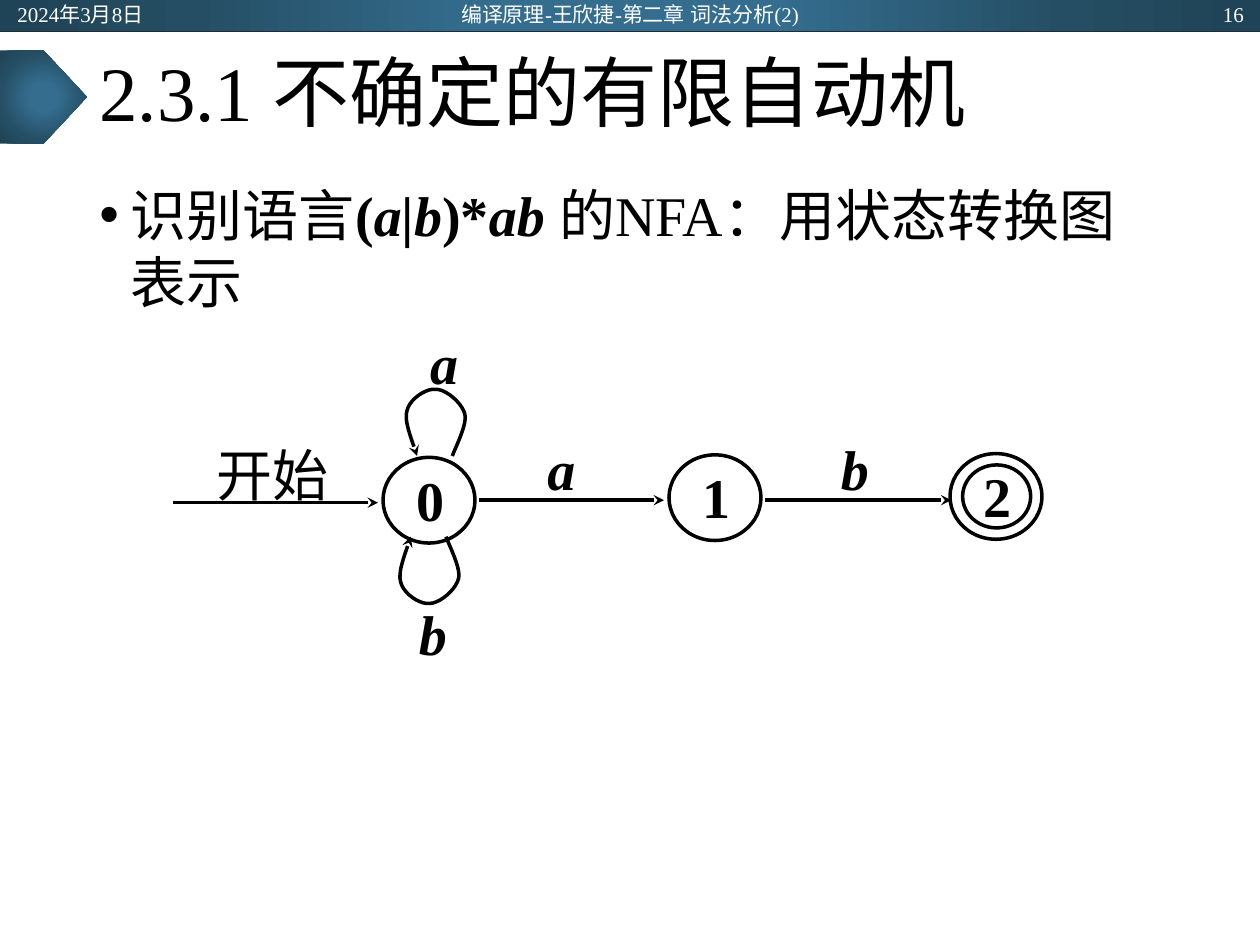
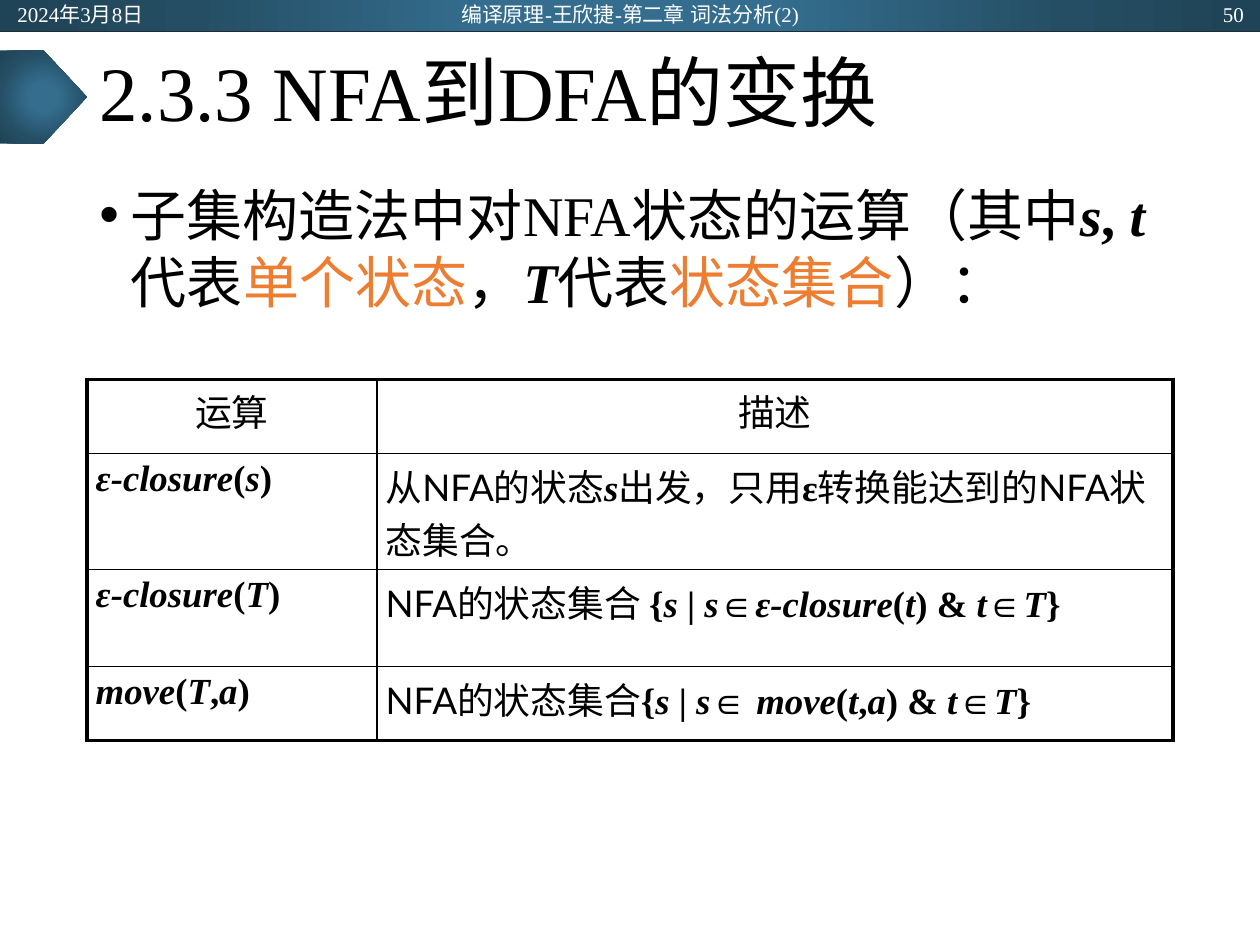
from dataclasses import dataclass
from typing import NamedTuple

from lxml import etree
from pptx import Presentation
from pptx import util as u
from pptx.dml.color import RGBColor
from pptx.enum import shapes, text
from pptx.oxml import parse_xml
from pptx.oxml.ns import nsdecls, qn
from pptx.util import Inches

LEFT, CENTER, RIGHT = text.PP_ALIGN.LEFT, text.PP_ALIGN.CENTER, text.PP_ALIGN.RIGHT
TOP, MIDDLE = text.MSO_ANCHOR.TOP, text.MSO_ANCHOR.MIDDLE


@dataclass(frozen=True)
class Theme:
    ink: str = "000000"
    paper: str = "FFFFFF"
    accent: str = "ED7D31"
    band_rule: str = "222A35"
    band_stops: tuple = ((0, "346D8E"), (23, "346D8E"), (69, "254E64"), (97, "204457"))
    serif: str = "Times New Roman"
    sans: str = "Lato"
    title: int = 44
    body: int = 32
    table: int = 21
    header: int = 12
    stroke: float = 2
    outer_border: float = 2.25
    inner_border: float = 1


T = Theme()


class Box(NamedTuple):
    left: float
    top: float
    width: float
    height: float

    def emu(self) -> list:
        return [Inches(v) for v in self]


class Run(NamedTuple):
    text: str
    bold: bool = False
    italic: bool = False
    color: str = T.ink
    font: str = T.serif


class State(NamedTuple):
    name: str
    box: Box


class Arrow(NamedTuple):
    x1: float
    x2: float
    y: float


class Label(NamedTuple):
    run: Run
    box: Box


class Loop(NamedTuple):
    x: float
    y: float
    flip: int


# Text
def symbols(*parts: str) -> list[Run]:
    """Bold formula whose parts alternate between italic and upright."""
    return [Run(part, True, i % 2 == 0) for i, part in enumerate(parts) if part]


def sans(words: str) -> Run:
    return Run(words, font=T.sans)


def fill_paragraph(p, runs: list[Run], size: float, align=LEFT, east_asian: str = "") -> None:
    p.alignment = align
    for run in runs:
        r = p.add_run()
        r.text = run.text
        r.font.size = u.Pt(size)
        r.font.name = run.font
        r.font.bold, r.font.italic = run.bold, run.italic
        r.font.color.rgb = RGBColor.from_string(run.color)
        if east_asian:
            ea = etree.Element(qn("a:ea"), typeface=east_asian)
            r.font._element.find(qn("a:latin")).addnext(ea)


def set_insets(frame, left: float, top: float, right: float, bottom: float) -> None:
    frame.margin_left, frame.margin_top = Inches(left), Inches(top)
    frame.margin_right, frame.margin_bottom = Inches(right), Inches(bottom)


def add_text(s, box: Box, runs: list[Run], size: float, align=LEFT, anchor=MIDDLE,
             insets: tuple = (0.1, 0.05, 0.1, 0.05)):
    tf = s.shapes.add_textbox(*box.emu()).text_frame
    tf.word_wrap = True
    tf.vertical_anchor = anchor
    set_insets(tf, *insets)
    fill_paragraph(tf.paragraphs[0], runs, size, align, T.sans)
    return tf.paragraphs[0]


# Lines and shapes
def set_line(sp, color: str, width: float, arrow: bool = False) -> None:
    sp.line.color.rgb = RGBColor.from_string(color)
    sp.line.width = u.Pt(width)
    if arrow:
        ln = sp._element.spPr.find(qn("a:ln"))
        etree.SubElement(ln, qn("a:tailEnd"), type="stealth")


def add_line(s, x1: float, y1: float, x2: float, y2: float, color: str,
             width: float, arrow: bool = False) -> None:
    line = s.shapes.add_connector(
        shapes.MSO_CONNECTOR.STRAIGHT, Inches(x1), Inches(y1), Inches(x2), Inches(y2))
    set_line(line, color, width, arrow)
    etree.SubElement(line._element.spPr, qn("a:effectLst"))


def add_gradient_shape(s, kind, box: Box) -> None:
    sp = s.shapes.add_shape(kind, *box.emu())
    sp.shadow.inherit = False
    sp.line.fill.background()
    sp.fill.background()
    stops = "".join(f'<a:gs pos="{pos * 1000}"><a:srgbClr val="{color}"/></a:gs>'
                    for pos, color in T.band_stops)
    gradient = parse_xml(
        f'<a:gradFill {nsdecls("a")} rotWithShape="1"><a:gsLst>{stops}</a:gsLst>'
        '<a:path path="circle"><a:fillToRect l="50000" t="50000" r="50000" b="50000"/>'
        '</a:path></a:gradFill>')
    spPr = sp._element.spPr
    spPr.replace(spPr.find(qn("a:noFill")), gradient)


# Frame shared by the slides
def add_slide(prs, number: str, title: str, body: list[Run]):
    s = prs.slides.add_slide(prs.slide_layouts[6])
    add_gradient_shape(s, shapes.MSO_SHAPE.RECTANGLE, Box(0, 0, 10, 0.25))
    add_line(s, 0, 0.25, 10, 0.25, T.band_rule, 0.5)
    add_gradient_shape(s, shapes.MSO_SHAPE.PENTAGON, Box(0, 0.4, 0.69, 0.74))

    p = add_text(s, Box(0.69, 0.25, 8.62, 1.04), [Run(title)], T.title)
    p.line_spacing = 0.9

    p = add_text(s, Box(0.69, 1.38, 8.62, 5.38), body, T.body, anchor=TOP)
    pPr = p._p.get_or_add_pPr()
    pPr.set("marL", str(Inches(0.25)))
    pPr.set("indent", str(-Inches(0.25)))
    etree.SubElement(pPr, qn("a:buFont"), typeface="Arial")
    etree.SubElement(pPr, qn("a:buChar"), char="•")

    for left, width, words, align in (
            (0.04, 2.25, "2024年3月8日", LEFT),
            (3.31, 3.38, "编译原理-王欣捷-第二章 词法分析(2)", CENTER),
            (7.72, 2.25, number, RIGHT)):
        add_text(s, Box(left, 0.01, width, 0.2), [Run(words, color=T.paper)],
                 T.header, align, insets=(0.1, 0, 0.1, 0))
    return s


# Automaton
STATES = (
    State("0", Box(3.04, 3.63, 0.73, 0.68)),
    State("1", Box(5.31, 3.61, 0.73, 0.68)),
    State("", Box(7.54, 3.6, 0.73, 0.68)),
    State("2", Box(7.64, 3.69, 0.54, 0.5)),
)
ARROWS = (Arrow(1.37, 3, 3.99), Arrow(3.8, 5.27, 3.97), Arrow(6.07, 7.55, 3.97))
LOOPS = (Loop(3.59, 3.62, 1), Loop(3.54, 4.26, -1))
LABELS = (
    Label(Run("开始"), Box(1.57, 3.44, 1.19, 0.64)),
    *(Label(Run(letter, True, True), Box(left, top, 0.59, 0.55))
      for letter, left, top in (("a", 4.16, 3.44), ("b", 6.49, 3.44),
                                ("a", 3.23, 2.6), ("b", 3.14, 4.75))),
)
# Bezier control points of a loop, measured from its start
LOOP_CURVE = (
    (0, 0), (0.02, -0.06), (0.12, -0.25), (0.1, -0.33), (0.08, -0.42),
    (-0.05, -0.53), (-0.13, -0.53), (-0.21, -0.54), (-0.34, -0.45),
    (-0.36, -0.36), (-0.39, -0.27), (-0.3, -0.08), (-0.28, 0),
)


def curve_points(controls: tuple, steps: int = 10) -> list[tuple]:
    points = []
    for first in range(0, len(controls) - 1, 3):
        quad = controls[first:first + 4]
        for step in range(1, steps + 1):
            t = step / steps
            weights = ((1 - t) ** 3, 3 * t * (1 - t) ** 2, 3 * t * t * (1 - t), t ** 3)
            points.append(tuple(sum(w * c[axis] for w, c in zip(weights, quad))
                                for axis in (0, 1)))
    return points


def add_loop(s, loop: Loop) -> None:
    builder = s.shapes.build_freeform(Inches(loop.x), Inches(loop.y))
    builder.add_line_segments(
        [(Inches(loop.x + dx), Inches(loop.y + loop.flip * dy))
         for dx, dy in curve_points(LOOP_CURVE)], close=False)
    sp = builder.convert_to_shape()
    sp.shadow.inherit = False
    sp.fill.background()
    set_line(sp, T.ink, T.stroke, arrow=True)


def add_state(s, state: State) -> None:
    sp = s.shapes.add_shape(shapes.MSO_SHAPE.OVAL, *state.box.emu())
    sp.shadow.inherit = False
    sp.fill.background()
    set_line(sp, T.ink, T.stroke)
    if state.name:
        tf = sp.text_frame
        tf.vertical_anchor = MIDDLE
        set_insets(tf, 0.04, 0.02, 0.02, 0.04)
        fill_paragraph(tf.paragraphs[0], [Run(state.name, True)], T.body, CENTER, T.sans)


def build_nfa_slide(prs) -> None:
    s = add_slide(prs, "16", "2.3.1 不确定的有限自动机", [
        Run("识别语言"), *symbols("", "(", "a", "|", "b", ")*", "ab "),
        Run("的NFA：用状态转换图表示")])
    for arrow in ARROWS:
        add_line(s, arrow.x1, arrow.y, arrow.x2, arrow.y, T.ink, T.stroke, arrow=True)
    for loop in LOOPS:
        add_loop(s, loop)
    for state in STATES:
        add_state(s, state)
    for label in LABELS:
        add_text(s, label.box, [label.run], T.body, CENTER, insets=(0.04, 0.02, 0.04, 0.02))


# Table of operations
OPERATIONS = (
    ([sans("运算")], [sans("描述")]),
    (symbols("ε-closure", "(", "s", ")"),
     [sans("从NFA的状态"), *symbols("s"), sans("出发，只用"), *symbols("", "ε"),
      sans("转换能达到的NFA状态集合。")]),
    (symbols("ε-closure", "(", "T", ")"),
     [sans("NFA的状态集合 "), *symbols("", "{", "s ", "| ", "s", "∈", "ε-closure", "(",
                                  "t", ") & ", "t", "∈", "T", "}")]),
    (symbols("move", "(", "T", ",", "a", ")"),
     [sans("NFA的状态集合"), *symbols("", "{", "s ", "| ", "s", "∈ ", "move", "(", "t", ",",
                                 "a", ") & ", "t", "∈", "T", "}")]),
)
COLUMN_WIDTHS = (2.3, 6.32)
ROW_HEIGHTS = (0.59, 0.92, 0.77, 0.59)


def set_borders(cell, outer: dict) -> None:
    tcPr = cell._tc.get_or_add_tcPr()
    for side, is_outer in outer.items():
        width = u.Pt(T.outer_border if is_outer else T.inner_border)
        tcPr.append(parse_xml(
            f'<a:ln{side} {nsdecls("a")} w="{width}"><a:solidFill>'
            f'<a:srgbClr val="{T.ink}"/></a:solidFill></a:ln{side}>'))


def build_operations_slide(prs) -> None:
    s = add_slide(prs, "50", "2.3.3 NFA到DFA的变换", [
        Run("子集构造法中对NFA状态的运算（其中"), *symbols("s", ",", " t"), Run("代表"),
        Run("单个状态", color=T.accent), Run("，"), *symbols("T"), Run("代表"),
        Run("状态集合", color=T.accent), Run("）：")])
    box = Box(0.69, 3.01, sum(COLUMN_WIDTHS), sum(ROW_HEIGHTS))
    last_row, last_col = len(ROW_HEIGHTS) - 1, len(COLUMN_WIDTHS) - 1
    table = s.shapes.add_table(last_row + 1, last_col + 1, *box.emu()).table
    table.first_row = table.horz_banding = False
    for column, width in zip(table.columns, COLUMN_WIDTHS):
        column.width = Inches(width)
    for i, (height, entries) in enumerate(zip(ROW_HEIGHTS, OPERATIONS)):
        table.rows[i].height = Inches(height)
        for j, runs in enumerate(entries):
            cell = table.cell(i, j)
            set_insets(cell, 0.07, 0.04, 0.07, 0.04)
            fill_paragraph(cell.text_frame.paragraphs[0], runs, T.table,
                           CENTER if i == 0 else LEFT)
            set_borders(cell, {"L": j == 0, "R": j == last_col,
                               "T": i == 0, "B": i == last_row})
            cell.fill.background()


def main() -> None:
    prs = Presentation()
    prs.slide_width, prs.slide_height = Inches(10), Inches(7.5)
    build_nfa_slide(prs)
    build_operations_slide(prs)
    prs.save("out.pptx")


if __name__ == "__main__":
    main()
